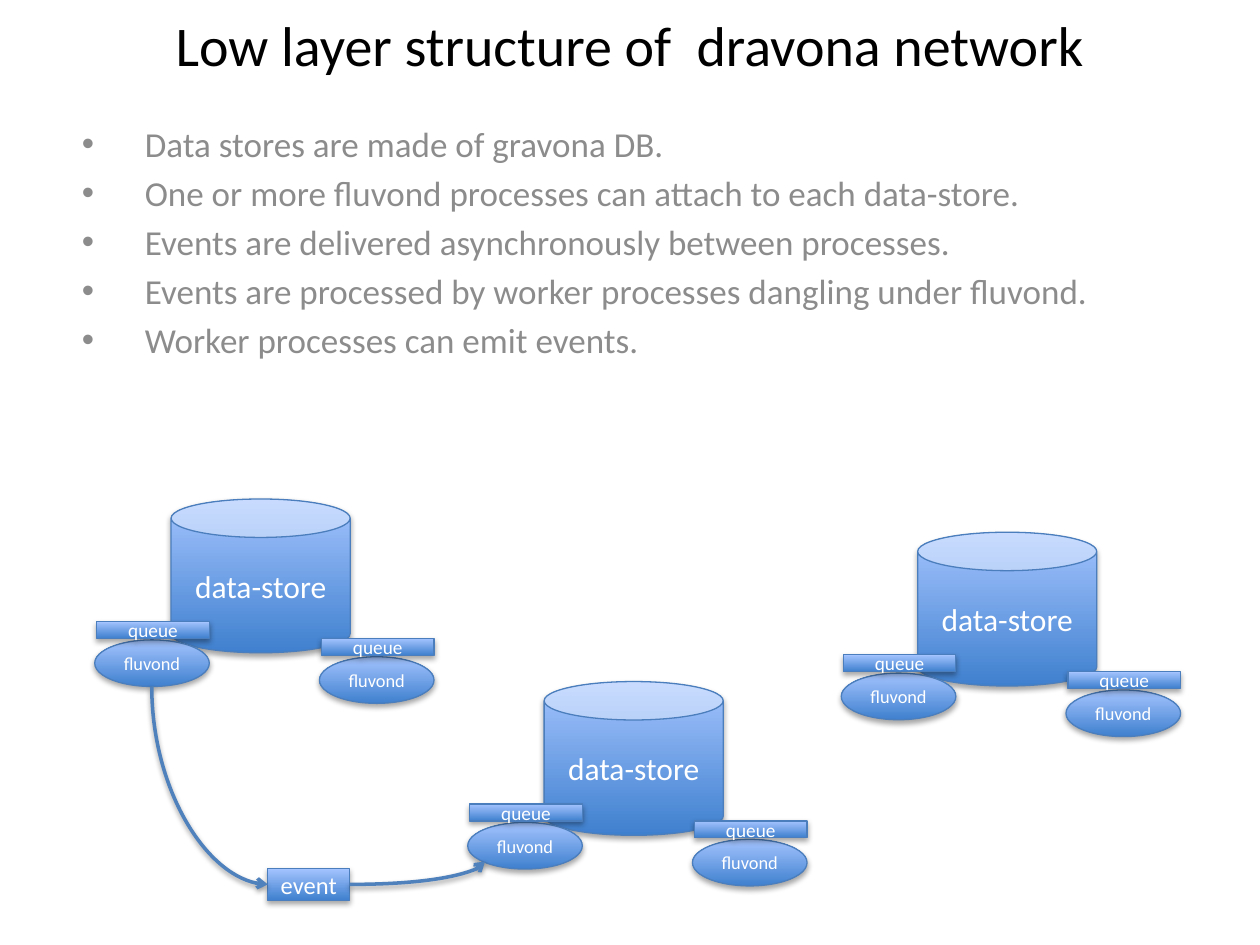
import pptx
import pptx.util
import pptx.dml.color
import pptx.enum.shapes
import pptx.enum.text
import pptx.oxml
import pptx.oxml.ns
from dataclasses import dataclass

Cm, Pt = pptx.util.Cm, pptx.util.Pt
Kind = pptx.enum.shapes.MSO_SHAPE
Align = pptx.enum.text.PP_ALIGN
Anchor = pptx.enum.text.MSO_ANCHOR
tag = pptx.oxml.ns.qn

# Content
TITLE = "Low layer structure of  dravona network"
POINTS = [
    "Data stores are made of gravona DB.",
    "One or more fluvond processes can attach to each data-store.",
    "Events are delivered asynchronously between processes.",
    "Events are processed by worker processes dangling under fluvond.",
    "Worker processes can emit events.",
]
STORE, AGENT, QUEUE, EVENT = "data-store", "fluvond", "queue", "event"

# Places in cm
STORES = [(3.45, 10.06), (10.97, 13.74), (18.5, 10.73)]
AGENTS = [(2.99, 3.18), (-1.54, 2.84)]  # offsets from the store
LIFT = (0.04, -0.37)  # queue offset from its agent
STORE_SIZE, AGENT_SIZE, QUEUE_SIZE = (3.61, 3.1), (2.31, 0.94), (2.27, 0.34)
EVENT_BOX = (5.4, 17.51, 1.65, 0.64)
SEND = ((3.06, 13.84), (5.4, 17.83))
TAKE = ((7.05, 17.83), (9.78, 17.37))


@dataclass
class Theme:
    font: str = "Calibri"
    ink: str = "000000"
    grey: str = "8C8C8C"
    white: str = "FFFFFF"
    dark: str = "3F80CE"
    light: str = "A4C4FF"
    edge: str = "4B7EBC"
    arrow: str = "4F81BD"
    title: float = 32
    body: float = 20
    store: float = 18
    event: float = 14
    queue: float = 11
    agent: float = 10.5


look = Theme()
deck = pptx.Presentation()
deck.slide_width, deck.slide_height = Cm(25.4), Cm(19.05)
slide = deck.slides.add_slide(deck.slide_layouts[6])


def rgb(code):
    return pptx.dml.color.RGBColor.from_string(code)


def node(xml):
    # Declare the namespace on the first tag
    return pptx.oxml.parse_xml(
        xml.replace(" ", f" {pptx.oxml.ns.nsdecls('a')} ", 1))


def write(frame, lines, size, color, align=Align.CENTER,
          anchor=Anchor.MIDDLE, gap=0, bullet=None, pad=0):
    frame.word_wrap = True
    frame.vertical_anchor = anchor
    frame.margin_left = frame.margin_right = Cm(pad)
    frame.margin_top = frame.margin_bottom = Cm(pad / 2)
    for i, line in enumerate(lines):
        para = frame.paragraphs[0] if i == 0 else frame.add_paragraph()
        para.alignment = align
        para.space_before = Pt(gap)
        run = para.add_run()
        run.text = line
        run.font.name, run.font.size = look.font, Pt(size)
        run.font.color.rgb = rgb(color)
        if bullet:
            props = para._p.get_or_add_pPr()
            props.set("marL", str(Cm(1.27)))
            props.set("indent", str(-Cm(1.27)))
            props.append(node('<a:buFont typeface="Arial"/>'))
            props.append(node(f'<a:buChar char="{bullet}"/>'))


def shade(holder, dist, alpha):
    holder.append(node(
        f'<a:outerShdw blurRad="40000" dist="{dist}" dir="5400000" rotWithShape="0">'
        f'<a:srgbClr val="000000"><a:alpha val="{alpha}"/></a:srgbClr></a:outerShdw>'))


def block(kind, box, text, size):
    shape = slide.shapes.add_shape(kind, *map(Cm, box))
    shape.fill.gradient()
    shape.fill.gradient_angle = 90
    for stop, code in zip(shape.fill.gradient_stops, (look.dark, look.light)):
        stop.color.rgb = rgb(code)
    shape.line.color.rgb, shape.line.width = rgb(look.edge), Pt(0.75)
    shape.shadow.inherit = False
    shade(shape._element.spPr.find(tag("a:effectLst")), 23000, 35000)
    write(shape.text_frame, [text], size, look.white)


def curve(start, end, down=False):
    (x1, y1), (x2, y2) = start, end
    if down:  # leaves downwards: the frame is turned about its centre
        mx, my, dx, dy = (x1 + x2) / 2, (y1 + y2) / 2, (y2 - y1) / 2, (x2 - x1) / 2
        x1, y1, x2, y2 = mx - dx, my - dy, mx + dx, my + dy
    link = slide.shapes.add_connector(
        pptx.enum.shapes.MSO_CONNECTOR.CURVE, *map(Cm, (x1, y1, x2, y2)))
    props = link._element.spPr
    props.find(tag("a:prstGeom")).set("prst", "curvedConnector2")
    if down:
        frame = props.find(tag("a:xfrm"))
        frame.set("rot", "16200000")
        frame.set("flipH", "1")
    link.line.color.rgb, link.line.width = rgb(look.arrow), Pt(2)
    props.find(tag("a:ln")).append(node('<a:tailEnd type="arrow"/>'))
    glow = node("<a:effectLst />")
    shade(glow, 20000, 38000)
    props.append(glow)


def words(box, lines, size, color, **form):
    area = slide.shapes.add_textbox(*map(Cm, box))
    write(area.text_frame, lines, size, color, pad=0.25, **form)


# Stores with their agents and queues
for x, y in STORES:
    block(Kind.CAN, (x, y, *STORE_SIZE), STORE, look.store)
    for dx, dy in AGENTS:
        left, top = x + dx, y + dy
        block(Kind.OVAL, (left, top, *AGENT_SIZE), AGENT, look.agent)
        block(Kind.RECTANGLE, (left + LIFT[0], top + LIFT[1], *QUEUE_SIZE),
              QUEUE, look.queue)

# Title and points
words((1.9, 0, 21.6, 1.78), [TITLE], look.title, look.ink)
words((1.4, 2.35, 22.4, 5.38), POINTS, look.body, look.grey,
      align=Align.LEFT, anchor=Anchor.TOP, gap=4, bullet="\u2022")

# Event and its route
block(Kind.RECTANGLE, EVENT_BOX, EVENT, look.event)
curve(*SEND, down=True)
curve(*TAKE)

deck.save("out.pptx")
